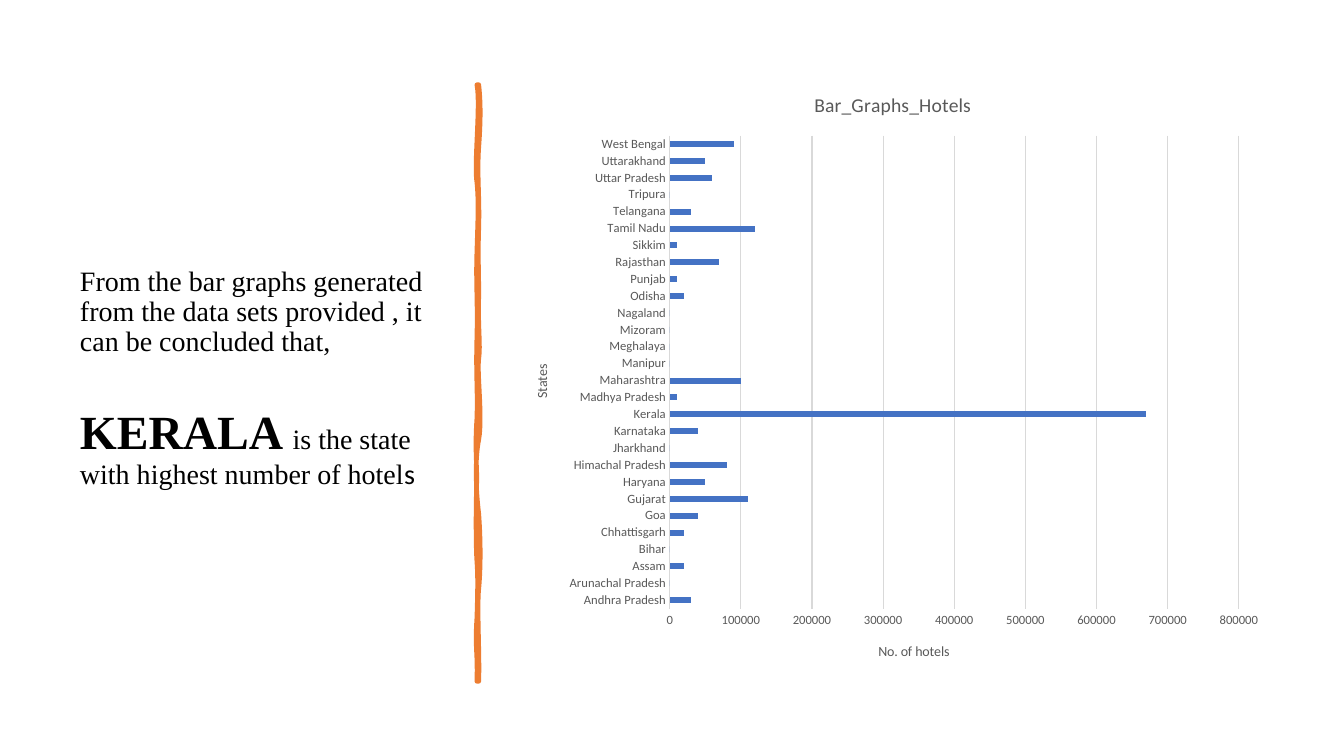
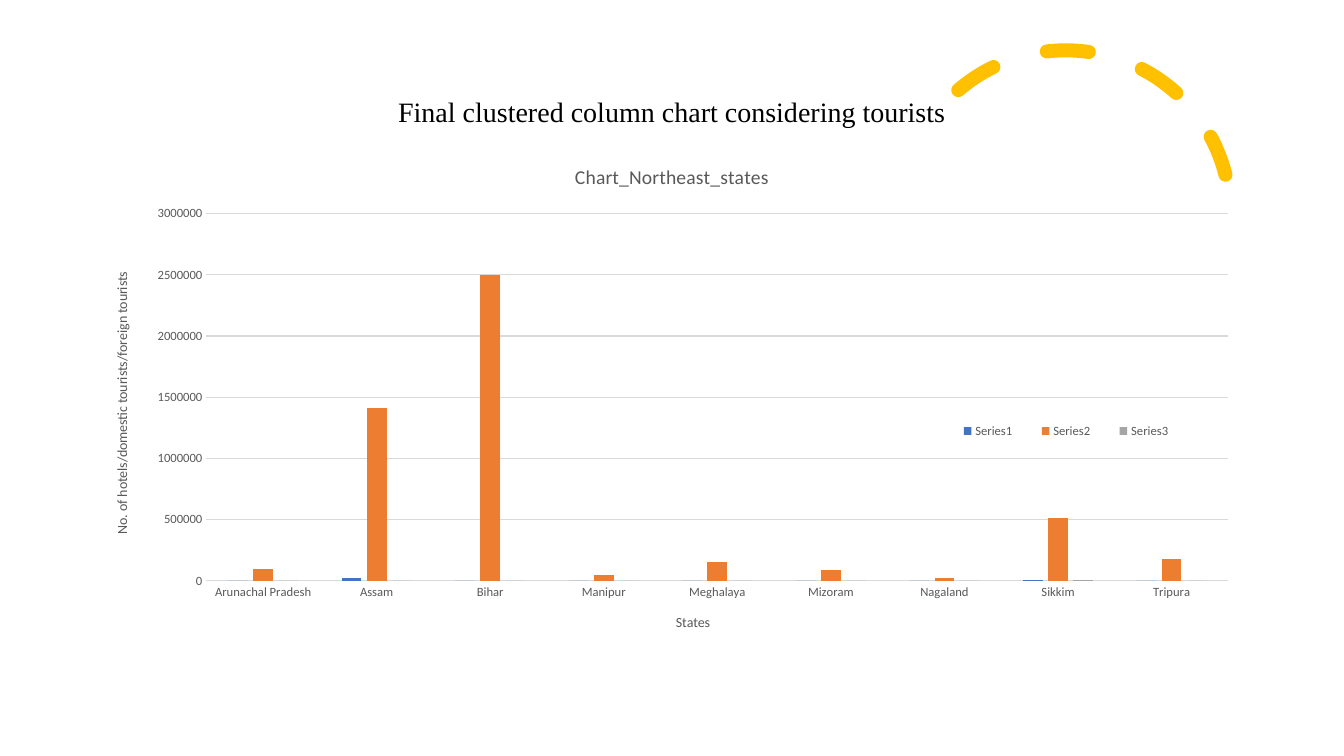
import dataclasses

import lxml.etree
import pptx
import pptx.chart.data
import pptx.dml.color
import pptx.enum.chart
import pptx.enum.dml
import pptx.enum.shapes
import pptx.enum.text
import pptx.oxml.ns
import pptx.util

Pt = pptx.util.Pt
RGB = pptx.dml.color.RGBColor.from_string
qn = pptx.oxml.ns.qn


@dataclasses.dataclass(frozen=True)
class Theme:
    black: str = "000000"
    grey: str = "595959"
    rule: str = "D9D9D9"
    blue: str = "4472C4"
    orange: str = "ED7D31"
    silver: str = "A5A5A5"
    gold: str = "FFC000"
    title_font: str = "Times New Roman"
    chart_font: str = "Calibri"
    title_size: float = 20
    emphasis_size: float = 34
    chart_title_size: float = 14
    axis_title_size: float = 10
    label_size: float = 9


theme = Theme()


def set_font(font, size, color=theme.grey, name=theme.chart_font, bold=False):
    for attribute, value in {"size": Pt(size), "name": name, "bold": bold}.items():
        setattr(font, attribute, value)
    font.color.rgb = RGB(color)


def set_line(line, color, width):
    line.color.rgb = RGB(color)
    line.width = Pt(width)


presentation = pptx.Presentation()
presentation.slide_width = Pt(960)
presentation.slide_height = Pt(540)

# Each title paragraph is a list of (text, size, font, bold) runs.
serif, sans = theme.title_font, theme.chart_font
size = theme.title_size
slide_specs = [
    {
        "title_box": (50, 50.5, 269.5, 440),
        "align": pptx.enum.text.PP_ALIGN.LEFT,
        "title": [
            [("From the bar graphs generated from the data sets provided , it can be concluded that,", size, serif, False)],
            [
                ("KERALA ", theme.emphasis_size, serif, True),
                ("is the state with highest number of hotel", size, serif, False),
                ("s", size, sans, False),
            ],
        ],
        "chart_box": (366, 50, 543.5, 436),
        "chart_type": pptx.enum.chart.XL_CHART_TYPE.BAR_CLUSTERED,
        "chart_title": "Bar_Graphs_Hotels",
        "category_title": ("States", -90),
        "value_title": ("No. of hotels", 0),
        "scale": (800000, 100000),
        "gap": 182,
        "overlap": 0,
        "categories": [
            "Andhra Pradesh", "Arunachal Pradesh", "Assam", "Bihar", "Chhattisgarh", "Goa", "Gujarat",
            "Haryana", "Himachal Pradesh", "Jharkhand", "Karnataka", "Kerala", "Madhya Pradesh",
            "Maharashtra", "Manipur", "Meghalaya", "Mizoram", "Nagaland", "Odisha", "Punjab",
            "Rajasthan", "Sikkim", "Tamil Nadu", "Telangana", "Tripura", "Uttar Pradesh",
            "Uttarakhand", "West Bengal",
        ],
        "series": [
            ("Series 1", theme.blue, [
                30000, 0, 20000, 0, 20000, 40000, 110000, 50000, 80000, 0, 40000, 670000, 10000, 100000,
                0, 0, 0, 0, 20000, 10000, 70000, 10000, 120000, 30000, 0, 60000, 50000, 90000,
            ]),
        ],
        "legend": None,
    },
    {
        "title_box": (66, 29, 828, 104.5),
        "align": pptx.enum.text.PP_ALIGN.CENTER,
        "title": [[("Final clustered column chart considering tourists", size, serif, False)]],
        "chart_box": (66, 102.5, 828, 384),
        "chart_type": pptx.enum.chart.XL_CHART_TYPE.COLUMN_CLUSTERED,
        "chart_title": "Chart_Northeast_states",
        "category_title": ("States", 0),
        "value_title": ("No. of hotels/domestic tourists/foreign tourists", -90),
        "scale": (3000000, 500000),
        "gap": 219,
        "overlap": -27,
        "categories": [
            "Arunachal Pradesh", "Assam", "Bihar", "Manipur", "Meghalaya", "Mizoram", "Nagaland",
            "Sikkim", "Tripura",
        ],
        "series": [
            ("Series1", theme.blue, [0, 20000, 0, 0, 0, 0, 0, 10000, 0]),
            ("Series2", theme.orange, [
                100000, 1410000, 2500000, 50000, 150000, 90000, 20000, 510000, 180000,
            ]),
            ("Series3", theme.silver, [0, 0, 0, 0, 0, 0, 0, 10000, 0]),
        ],
        "legend": {"x": 0.73, "y": 0.51, "w": 0.22, "h": 0.05},
    },
]

slides = []
for spec in slide_specs:
    slide = presentation.slides.add_slide(presentation.slide_layouts[6])
    slides.append(slide)

    title_box = slide.shapes.add_textbox(*map(Pt, spec["title_box"]))
    text_frame = title_box.text_frame
    text_frame.word_wrap = True
    text_frame.vertical_anchor = pptx.enum.text.MSO_ANCHOR.MIDDLE
    for index, runs in enumerate(spec["title"]):
        paragraph = text_frame.add_paragraph() if index else text_frame.paragraphs[0]
        paragraph.alignment = spec["align"]
        paragraph.line_spacing = 0.9
        if index:
            paragraph.space_before = Pt(36.5)
        for text, run_size, font_name, bold in runs:
            run = paragraph.add_run()
            run.text = text
            set_font(run.font, run_size, theme.black, font_name, bold)

    chart_data = pptx.chart.data.CategoryChartData()
    chart_data.categories = spec["categories"]
    for name, color, values in spec["series"]:
        chart_data.add_series(name, values)
    chart = slide.shapes.add_chart(spec["chart_type"], *map(Pt, spec["chart_box"]), chart_data).chart
    set_font(chart.font, theme.label_size)
    chart.has_title = True
    chart.chart_title.include_in_layout = False
    chart.chart_title.text_frame.text = spec["chart_title"]
    set_font(chart.chart_title.text_frame.paragraphs[0].runs[0].font, theme.chart_title_size)

    plot = chart.plots[0]
    plot_format = {"gap_width": spec["gap"], "overlap": spec["overlap"], "vary_by_categories": False}
    for attribute, value in plot_format.items():
        setattr(plot, attribute, value)
    for series, (name, color, values) in zip(plot.series, spec["series"]):
        series.format.fill.solid()
        series.format.fill.fore_color.rgb = RGB(color)

    for axis, (text, rotation) in (
        (chart.category_axis, spec["category_title"]),
        (chart.value_axis, spec["value_title"]),
    ):
        axis.major_tick_mark = axis.minor_tick_mark = pptx.enum.chart.XL_TICK_MARK.NONE
        set_font(axis.tick_labels.font, theme.label_size)
        axis_text = axis.axis_title.text_frame
        axis_text.text = text
        set_font(axis_text.paragraphs[0].runs[0].font, theme.axis_title_size)
        body = next(axis.axis_title._element.iter(qn("a:bodyPr")))
        body.set("rot", str(rotation * 60000))
        body.set("vert", "horz")
    set_line(chart.category_axis.format.line, theme.rule, 0.75)
    value_axis = chart.value_axis
    value_axis.format.line.fill.background()
    value_axis.minimum_scale = 0
    value_axis.maximum_scale, value_axis.major_unit = spec["scale"]
    value_axis.has_major_gridlines = True
    set_line(value_axis.major_gridlines.format.line, theme.rule, 0.75)

    chart.has_legend = spec["legend"] is not None
    if chart.has_legend:
        legend = chart.legend
        legend.position = pptx.enum.chart.XL_LEGEND_POSITION.BOTTOM
        legend.include_in_layout = False
        set_font(legend.font, theme.label_size)
        layout = legend._element.find(qn("c:layout"))
        if layout is None:
            layout = lxml.etree.Element(qn("c:layout"))
            legend._element.find(qn("c:legendPos")).addnext(layout)
        manual = lxml.etree.SubElement(layout, qn("c:manualLayout"))
        for tag in ("xMode", "yMode"):
            lxml.etree.SubElement(manual, qn("c:" + tag)).set("val", "edge")
        for tag, value in spec["legend"].items():
            lxml.etree.SubElement(manual, qn("c:" + tag)).set("val", str(value))

# Hand-drawn divider: each row is two control points and an end point.
divider_left, divider_top = 340.6, 60.5
divider_start = (342, divider_top)
divider_curves = [
    ((343.4, 73.4), (343.4, 85.7), (342, 105.1)),
    ((340.6, 124.6), (342.7, 140.4), (342, 162.7)),
    ((341.3, 185), (342, 188.6), (342, 211.7)),
    ((341.3, 234), (343.4, 246.2), (342, 256.3)),
    ((340.6, 266.4), (344.9, 298.1), (342, 313.9)),
    ((339.1, 329), (339.8, 348.5), (342, 367.2)),
    ((343.4, 385.9), (343.4, 406.1), (342, 420.5)),
    ((340.6, 434.2), (342.7, 468), (342, 486.7)),
    ((341.3, 486.7), (340.6, 486.7), (340.6, 486.7)),
    ((341.3, 465.1), (339.1, 463.7), (340.6, 441.4)),
    ((341.3, 419.8), (341.3, 410.4), (340.6, 401)),
    ((339.8, 391.7), (339.8, 356.4), (340.6, 343.4)),
    ((340.6, 330.5), (339.1, 320.4), (340.6, 298.8)),
    ((341.3, 277.9), (339.8, 268.6), (340.6, 241.2)),
    ((341.3, 214.6), (339.8, 202.3), (340.6, 180)),
    ((341.3, 157), (342, 144), (340.6, 130.3)),
    ((338.4, 117.4), (343.4, 74.9), (340.6, 60.5)),
]
units = 100
builder = slides[0].shapes.build_freeform(
    divider_start[0] * units, divider_start[1] * units, scale=Pt(1) / units
)
builder.add_line_segments([(x * units, y * units) for *controls, (x, y) in divider_curves], close=True)
divider = builder.convert_to_shape()
# Bend each straight segment into a cubic curve.
segments = list(divider._element.iter(qn("a:lnTo")))
for segment, (*controls, end) in zip(segments, divider_curves):
    curve = lxml.etree.Element(qn("a:cubicBezTo"))
    for x, y in (*controls, end):
        point = lxml.etree.SubElement(curve, qn("a:pt"))
        point.set("x", str(round((x - divider_left) * units)))
        point.set("y", str(round((y - divider_top) * units)))
    segment.getparent().replace(segment, curve)
divider.shadow.inherit = False
divider.fill.solid()
divider.fill.fore_color.rgb = RGB(theme.orange)
set_line(divider.line, theme.orange, 3.25)
lxml.etree.SubElement(divider.line._get_or_add_ln(), qn("a:round"))

arc = slides[1].shapes.add_shape(
    pptx.enum.shapes.MSO_SHAPE.ARC, Pt(643.5), Pt(36), Pt(235.5), Pt(235.5)
)
arc.adjustments[0] = 146.13
arc.adjustments[1] = 0
arc.rotation = 345.8
arc.shadow.inherit = False
arc.fill.background()
set_line(arc.line, theme.gold, 10)
arc.line.dash_style = pptx.enum.dml.MSO_LINE.DASH
arc.line._get_or_add_ln().set("cap", "rnd")

presentation.save("out.pptx")
